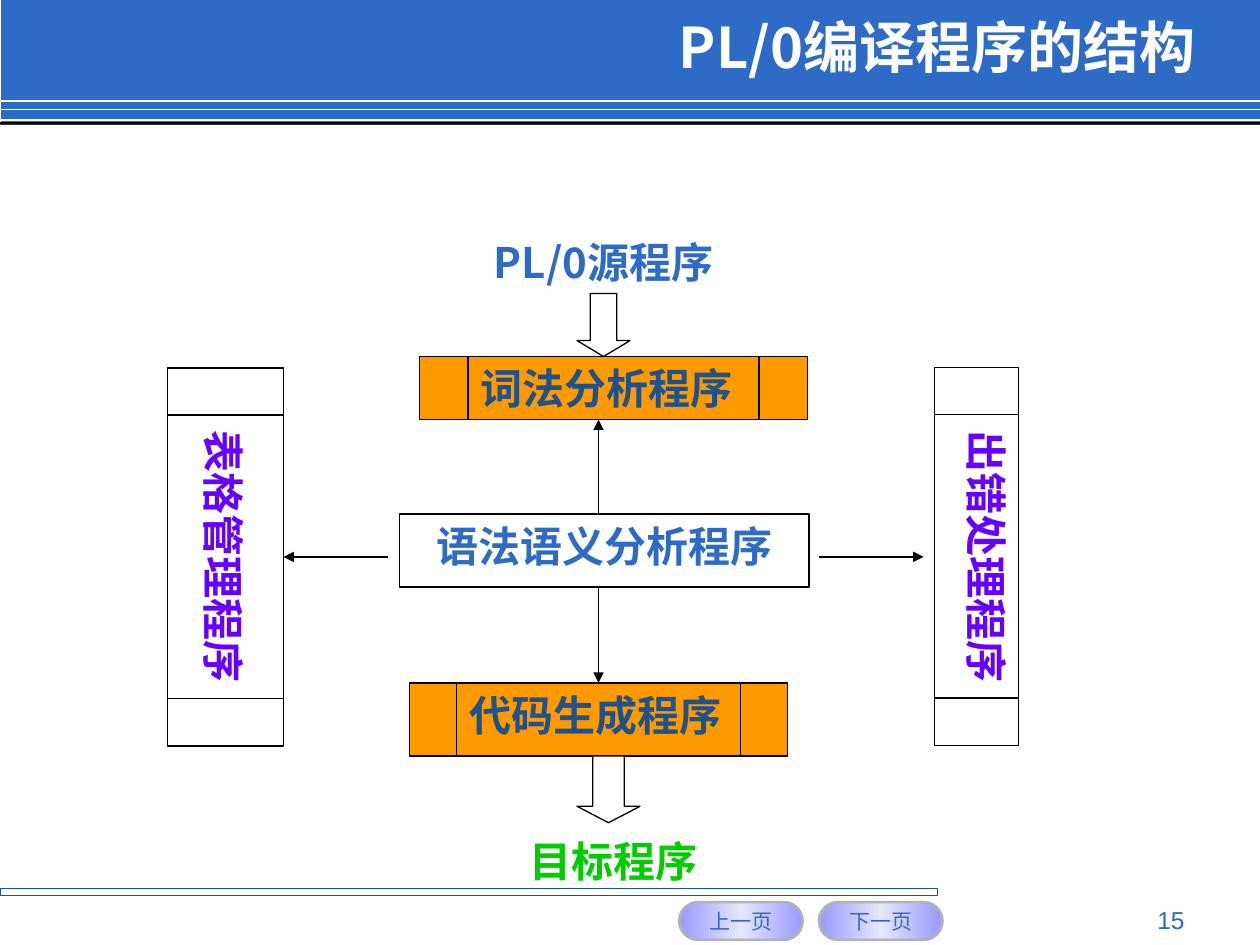
from dataclasses import dataclass

from lxml import etree
from pptx import Presentation
from pptx.dml.color import RGBColor
from pptx.enum.shapes import MSO_CONNECTOR, MSO_SHAPE as Shape
from pptx.enum.text import MSO_ANCHOR as Anchor, PP_ALIGN as Align
from pptx.oxml import parse_xml
from pptx.oxml.ns import nsdecls, qn
from pptx.util import Inches, Pt


@dataclass(frozen=True)
class Theme:
    blue: str = "2D6BC7"
    navy: str = "1D528D"
    orange: str = "FF9900"
    violet: str = "6600FF"
    green: str = "00CC00"
    gray: str = "B2B2B2"
    black: str = "000000"
    white: str = "FFFFFF"
    lilac: str = "9999FF"
    pale_lilac: str = "E6E6FF"
    title_size: int = 32
    label_size: int = 24
    number_size: int = 14
    button_size: int = 12
    sans: str = "Arial"
    serif: str = "Times New Roman"
    chinese: str = "Noto Sans CJK SC"


theme = Theme()
deck = Presentation()
deck.slide_width, deck.slide_height = Inches(10), Inches(7.5)
page = deck.slides.add_slide(deck.slide_layouts[6])


def add_box(kind, left, top, width, height, fill=None, line=None, weight=0.75):
    """Add a preset shape, or a text box when kind is None."""
    place = [Inches(value) for value in (left, top, width, height)]
    if kind is None:
        return page.shapes.add_textbox(*place)
    box = page.shapes.add_shape(kind, *place)
    box.shadow.inherit = False
    if fill:
        box.fill.solid()
        box.fill.fore_color.rgb = RGBColor.from_string(fill)
    else:
        box.fill.background()
    if line:
        box.line.color.rgb = RGBColor.from_string(line)
        box.line.width = Pt(weight)
    else:
        box.line.fill.background()
    return box


def write(box, text, size, color, font, align=Align.CENTER, bold=True,
          anchor=Anchor.TOP, wrap=True):
    frame = box.text_frame
    frame.word_wrap = wrap
    frame.vertical_anchor = anchor
    para = frame.paragraphs[0]
    para.alignment = align
    span = para.add_run()
    span.text = text
    span.font.size = Pt(size)
    span.font.bold = bold
    span.font.name = font
    span.font.color.rgb = RGBColor.from_string(color)
    east_asian = etree.SubElement(span.font._element, qn("a:ea"))
    east_asian.set("typeface", theme.chinese)


# Header band with its rules
add_box(Shape.RECTANGLE, 0.01, 0, 9.99, 0.99, theme.blue)
for y in (0.8, 0.87, 0.95):
    rule = page.shapes.add_connector(
        MSO_CONNECTOR.STRAIGHT, Inches(0), Inches(y), Inches(10), Inches(y))
    rule.line.color.rgb = RGBColor.from_string(theme.white)
    rule.line.width = Pt(1)
    etree.SubElement(rule._element.spPr, qn("a:effectLst"))
add_box(Shape.RECTANGLE, 0, 0.97, 10, 0.02, theme.black)
title = add_box(None, 2.79, 0.17, 6.8, 0.39)
write(title, "PL/0编译程序的结构", theme.title_size, theme.white, theme.chinese,
      Align.RIGHT, anchor=Anchor.MIDDLE)

# Footer bar, page buttons and page number
add_box(Shape.RECTANGLE, 0, 7.05, 7.44, 0.06, line=theme.navy)
stops = "".join(
    f'<a:gs pos="{percent * 1000}"><a:srgbClr val="{color}"/></a:gs>'
    for percent, color in ((0, theme.lilac), (50, theme.pale_lilac), (100, theme.lilac)))
for left, text in ((5.39, "上一页"), (6.5, "下一页")):
    button = add_box(Shape.ROUNDED_RECTANGLE, left, 7.16, 0.98, 0.3,
                     theme.lilac, theme.gray, 1.5)
    button.adjustments[0] = 0.5
    solid = button._element.spPr.find(qn("a:solidFill"))
    solid.getparent().replace(solid, parse_xml(
        f'<a:gradFill {nsdecls("a")} rotWithShape="1"><a:gsLst>{stops}</a:gsLst>'
        '<a:lin ang="0" scaled="1"/></a:gradFill>'))
    write(button, text, theme.button_size, theme.blue, theme.sans,
          bold=False, anchor=Anchor.MIDDLE, wrap=False)
number = add_box(None, 7.17, 7.13, 2.33, 0.27)
write(number, "15", theme.number_size, theme.blue, theme.sans, Align.RIGHT, bold=False)

# Compiler stages
lexer = add_box(Shape.FLOWCHART_PREDEFINED_PROCESS, 3.33, 2.83, 3.08, 0.5,
                theme.orange, theme.black)
write(lexer, "词法分析程序", theme.label_size, theme.navy, theme.serif, Align.LEFT)
analyzer = add_box(Shape.FLOWCHART_PROCESS, 3.17, 4.08, 3.25, 0.58,
                   theme.white, theme.black)
write(analyzer, "语法语义分析程序", theme.label_size, theme.blue, theme.serif)
generator = add_box(Shape.FLOWCHART_PREDEFINED_PROCESS, 3.25, 5.42, 3, 0.58,
                    theme.orange, theme.black)
write(generator, "代码生成程序", theme.label_size, theme.navy, theme.serif, Align.JUSTIFY)

# Upright helper programs at both sides
for left, top, height, weight, inset, text in (
        (0.29, 3.96, 0.92, 1, 0.27, "表格管理程序"),
        (6.25, 4.08, 0.67, 0.75, 0.05, "出错处理程序")):
    helper = add_box(Shape.FLOWCHART_PREDEFINED_PROCESS, left, top, 3, height,
                     theme.white, theme.black, weight)
    helper.rotation = 90
    helper.text_frame.margin_top = Inches(inset)
    write(helper, text, theme.label_size, theme.violet, theme.serif)

# Block arrows for input and output
for left, top, width, height, head in ((4.58, 2.33, 0.42, 0.5, 0.3),
                                       (4.58, 6, 0.5, 0.53, 0.26)):
    arrow = add_box(Shape.DOWN_ARROW, left, top, width, height, theme.white, theme.black)
    arrow.adjustments[0] = 0.5
    arrow.adjustments[1] = head

# Thin arrows from the analyzer to the other programs
for x1, y1, x2, y2, target in ((4.75, 4.08, 4.75, 3.33, None),
                               (3.08, 4.42, 2.25, 4.42, None),
                               (6.5, 4.42, 7.33, 4.42, None),
                               (4.75, 4.67, 4.75, 5.42, generator)):
    link = page.shapes.add_connector(
        MSO_CONNECTOR.STRAIGHT, Inches(x1), Inches(y1), Inches(x2), Inches(y2))
    link.line.color.rgb = RGBColor.from_string(theme.black)
    link.line.width = Pt(0.75)
    etree.SubElement(link.line._get_or_add_ln(), qn("a:tailEnd")).set("type", "triangle")
    etree.SubElement(link._element.spPr, qn("a:effectLst"))
    if target:
        link.end_connect(target, 0)

# Input and output labels
for left, top, width, text, color in ((3.75, 1.83, 2.08, "PL/0源程序", theme.blue),
                                      (3.58, 6.58, 2.58, "目标程序", theme.green)):
    label = add_box(None, left, top, width, 0.5)
    write(label, text, theme.label_size, color, theme.chinese)

deck.save("out.pptx")
